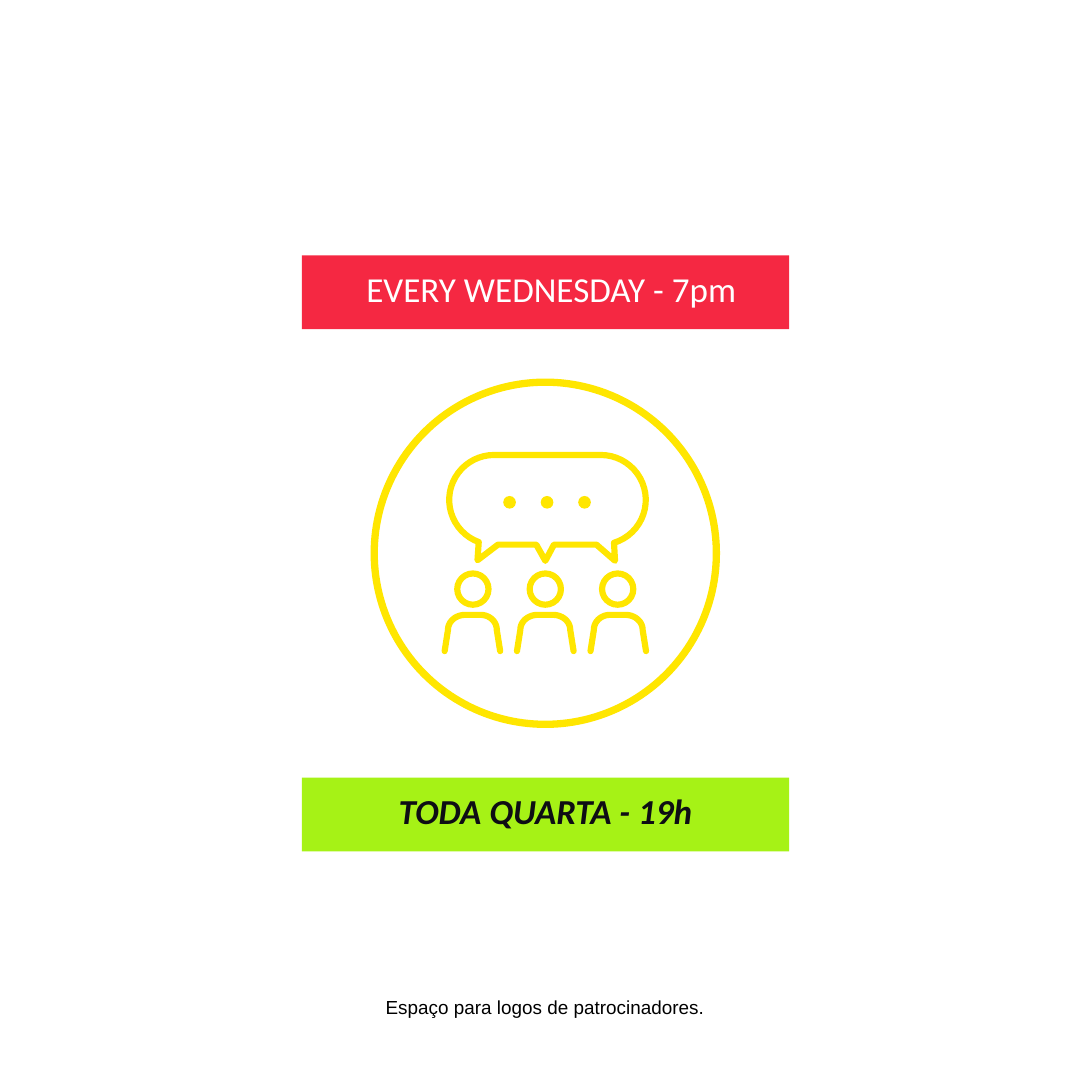
from math import cos, radians, sin

from lxml.etree import SubElement
from pptx import Presentation
from pptx.dml.color import RGBColor
from pptx.enum.shapes import MSO_SHAPE
from pptx.enum.text import MSO_ANCHOR, PP_ALIGN
from pptx.oxml.ns import qn
from pptx.util import Pt

WHITE, RED, LIME, YELLOW = "FFFFFF", "F52842", "A6F216", "FFE600"
BLACK, INK = "000000", "0E0E14"
MID = 404.5  # centre line of the icon


def color(code):
    return RGBColor.from_string(code)


def arc(x, y, wide, high, start, end, steps=24):
    """Points on an ellipse, angles in degrees clockwise from the right."""
    turns = [radians(start + (end - start) * i / steps) for i in range(steps + 1)]
    return [(x + wide * cos(t), y + high * sin(t)) for t in turns]


class Poster:
    def __init__(self, slide):
        self.shapes = slide.shapes
        self.stroke = YELLOW
        self.width = 4.6

    def label(self, box, fill, text, size, font, ink, bold=False, slant=False,
              space=None, indent=0):
        """Filled rectangle with one centred line of text."""
        shape = self.shapes.add_shape(MSO_SHAPE.RECTANGLE, *map(Pt, box))
        shape.shadow.inherit = False
        shape.fill.solid()
        shape.fill.fore_color.rgb = color(fill)
        shape.line.fill.background()
        frame = shape.text_frame
        frame.word_wrap = True
        frame.vertical_anchor = MSO_ANCHOR.MIDDLE
        frame.margin_left = frame.margin_right = Pt(7.2)
        frame.margin_top = frame.margin_bottom = Pt(7.2)
        para = frame.paragraphs[0]
        para.alignment = PP_ALIGN.CENTER
        para.line_spacing = space
        if indent:
            para._p.get_or_add_pPr().set("marL", str(Pt(indent)))
        run = para.add_run()
        run.text = text
        run.font.name, run.font.size = font, Pt(size)
        run.font.bold, run.font.italic = bold, slant
        run.font.color.rgb = color(ink)

    def outline(self, shape, width):
        shape.shadow.inherit = False
        shape.fill.background()
        shape.line.color.rgb = color(self.stroke)
        shape.line.width = Pt(width)

    def oval(self, x, y, size):
        """Plain circle given by its centre and diameter."""
        box = (x - size / 2, y - size / 2, size, size)
        return self.shapes.add_shape(MSO_SHAPE.OVAL, *map(Pt, box))

    def ring(self, x, y, size, width):
        self.outline(self.oval(x, y, size), width)

    def dot(self, x, y, size):
        shape = self.oval(x, y, size)
        shape.shadow.inherit = False
        shape.fill.solid()
        shape.fill.fore_color.rgb = color(self.stroke)
        shape.line.fill.background()

    def curve(self, points, close=False):
        """Stroked outline with round ends and corners."""
        spots = [(Pt(x), Pt(y)) for x, y in points]
        pen = self.shapes.build_freeform(*spots[0])
        pen.add_line_segments(spots[1:], close=close)
        shape = pen.convert_to_shape()
        self.outline(shape, self.width)
        line = shape.line._get_or_add_ln()
        line.set("cap", "rnd")
        SubElement(line, qn("a:round"))

    def person(self, x, left, right):
        """Head and shoulders; left and right are the reach of the arms."""
        self.ring(x, 437, 23.2, self.width)
        self.curve([(x - left, 483)]
                   + arc(x - 5.7, 467.2, left - 8.2, 11.1, 180, 270)
                   + arc(x + 5.7, 467.2, right - 8.2, 11.1, 270, 360)
                   + [(x + right, 483)])

    def bubble(self):
        tails = [(354.2, 415.6), (369.4, 404), (397.8, 404), (MID, 416),
                 (410.9, 404), (442.4, 404), (456.2, 416)]
        self.curve(arc(366.5, 370.8, 33.3, 33.3, 270, 110) + tails
                   + arc(445.7, 370.8, 33.3, 33.3, 73, -90), close=True)


def main():
    deck = Presentation()
    deck.slide_width = deck.slide_height = Pt(810)
    poster = Poster(deck.slides.add_slide(deck.slide_layouts[6]))

    poster.label((23.8, 712.8, 761, 67.7), WHITE,
                 "Espaço para logos de patrocinadores.", 14, "Arial", BLACK)
    poster.label((224, 189.4, 361.4, 54.7), RED, "EVERY WEDNESDAY - 7pm",
                 26, "Calibri", WHITE, space=0.8, indent=8.6)
    poster.label((224, 576.8, 361.4, 54.7), LIME, "TODA QUARTA - 19h",
                 26, "Calibri", INK, bold=True, slant=True, space=0.8)

    poster.ring(MID, 410.4, 253.8, 5.4)
    poster.bubble()
    for step, left, right in ((-1, 21, 20.2), (0, 21, 21), (1, 20.2, 21)):
        poster.person(MID + 53.7 * step, left, right)
        poster.dot(405.8 + 27.8 * step, 372.6, 9.4)

    deck.save("out.pptx")


if __name__ == "__main__":
    main()
